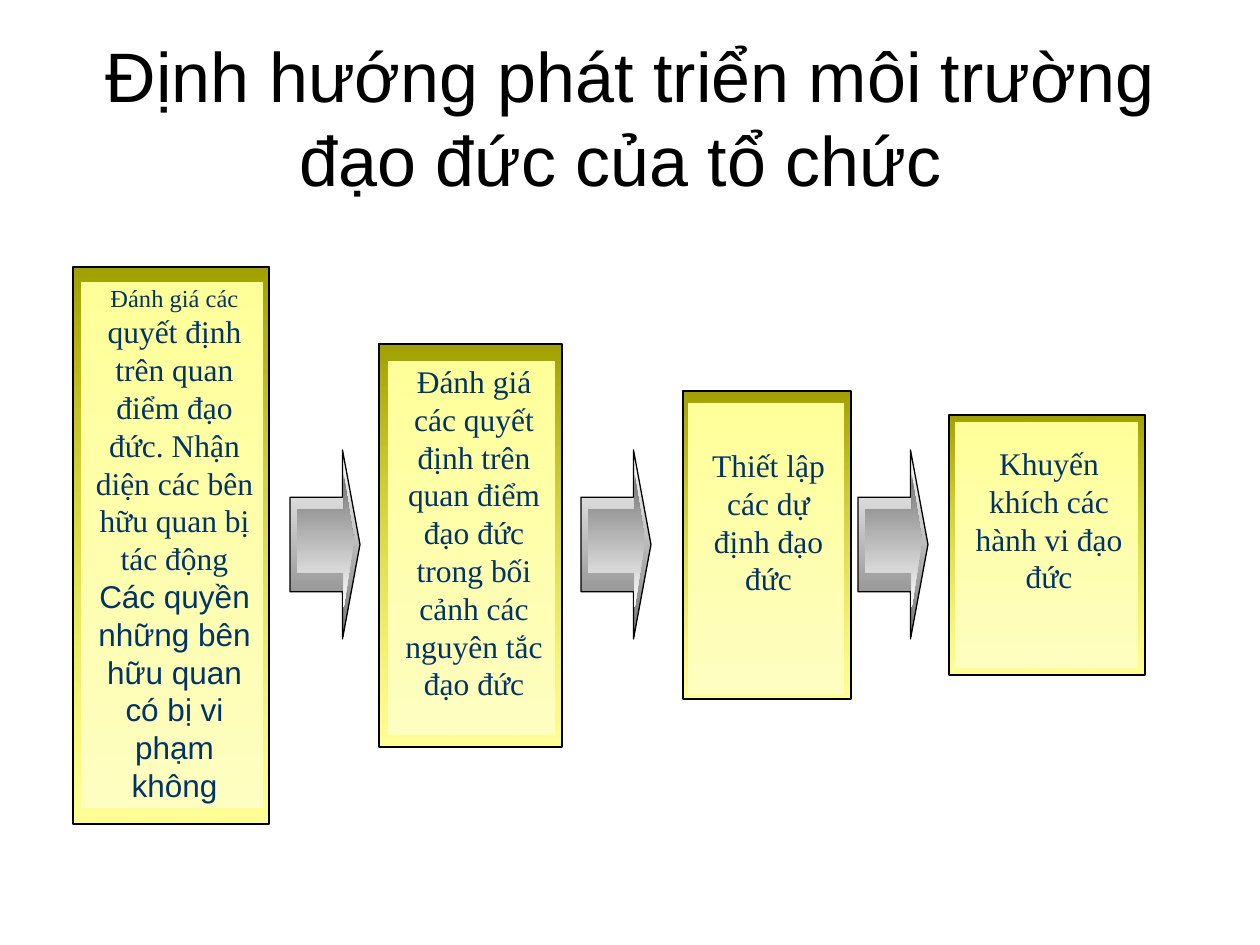
"""Build a slide of four process boxes joined by block arrows."""
from dataclasses import dataclass
from typing import Any

import lxml.etree
import pptx
import pptx.dml.color
import pptx.enum.shapes
import pptx.enum.text
import pptx.oxml.ns
import pptx.util

EMU_PER_PX = 914400 / 126
SERIF, SANS = "Times New Roman", "Arial"
SHAPES = pptx.enum.shapes.MSO_SHAPE
TEXT_COLOUR = "003366"


@dataclass(frozen=True)
class Box:
    left: int
    top: int
    width: int
    height: int


@dataclass(frozen=True)
class Run:
    text: str
    size: int = 18
    font: str = SERIF


@dataclass(frozen=True)
class Step:
    frame: Box
    panel: Box
    paragraphs: tuple[tuple[Run, ...], ...]
    top_inset: int = 1


STEPS = (
    Step(Box(683, 391, 168, 308), Box(688, 403, 156, 291),
         ((Run("Thiết lập các dự định đạo đức"),),), 43),
    Step(Box(949, 415, 196, 260), Box(955, 422, 183, 246),
         ((Run("Khuyến khích các hành vi đạo đức"),),), 22),
    Step(Box(379, 344, 183, 403), Box(388, 361, 167, 374),
         ((Run("Đánh giá các quyết định trên quan điểm đạo đức "
               "trong bối cảnh các nguyên tắc đạo đức"),),)),
    Step(Box(73, 267, 196, 557), Box(81, 282, 182, 526),
         ((Run("Đánh giá các ", 14),
           Run("quyết định trên quan điểm đạo đức. "
               "Nhận diện các bên hữu quan bị tác động")),
          (Run("Các quyền những bên hữu quan có bị vi phạm không", font=SANS),))),
)
ARROW_LEFTS = (290, 581, 858)


def px(length: int) -> int:
    """Turn pixels into EMU."""
    return round(length * EMU_PER_PX)


def colour(value: str) -> pptx.dml.color.RGBColor:
    """Turn a hex string into a colour."""
    return pptx.dml.color.RGBColor.from_string(value)


def apply(target: Any, values: dict[str, Any]) -> None:
    """Set attributes from a dict of format values."""
    for name, value in values.items():
        setattr(target, name, value)


def place(shape: Any, box: Box) -> None:
    """Move and size a shape."""
    apply(shape, {name: px(getattr(box, name)) for name in ("left", "top", "width", "height")})


def add_gradient_shape(slide: Any, kind: Any, box: Box, stops: tuple[str, str],
                       outlined: bool = False) -> Any:
    """Add a shape shaded from top to bottom."""
    shape = slide.shapes.add_shape(kind, 0, 0, 0, 0)
    place(shape, box)
    shape.shadow.inherit = False
    shape.fill.gradient()
    shape.fill.gradient_angle = 270
    for stop, value in zip(shape.fill.gradient_stops, stops):
        stop.color.rgb = colour(value)
    if outlined:
        shape.line.color.rgb = colour("000000")
        shape.line.width = pptx.util.Pt(0.75)
    else:
        shape.line.fill.background()
    return shape


def add_run(paragraph: Any, run: Run, text_colour: str) -> None:
    """Add a formatted run to a paragraph."""
    text_run = paragraph.add_run()
    text_run.text = run.text
    apply(text_run.font, {"size": pptx.util.Pt(run.size), "name": run.font})
    text_run.font.color.rgb = colour(text_colour)


def add_step(slide: Any, step: Step) -> None:
    """Add a framed panel with its text."""
    frame = add_gradient_shape(slide, SHAPES.RECTANGLE, step.frame, ("A1A100", "FFFF00"), True)
    last_stop = frame.element.xpath(".//a:gs/a:srgbClr")[-1]
    lxml.etree.SubElement(last_stop, pptx.oxml.ns.qn("a:alpha")).set("val", "41000")
    panel = add_gradient_shape(slide, SHAPES.RECTANGLE, step.panel, ("FFFF99", "FEFEC0"))
    text_frame = panel.text_frame
    apply(text_frame, {
        "word_wrap": True,
        "vertical_anchor": pptx.enum.text.MSO_ANCHOR.TOP,
        "margin_left": px(8),
        "margin_right": px(3),
        "margin_top": px(step.top_inset),
        "margin_bottom": px(1),
    })
    for index, runs in enumerate(step.paragraphs):
        paragraph = text_frame.add_paragraph() if index else text_frame.paragraphs[0]
        paragraph.alignment = pptx.enum.text.PP_ALIGN.CENTER
        for run in runs:
            add_run(paragraph, run, TEXT_COLOUR)


def add_arrow(slide: Any, left: int) -> None:
    """Add a bevelled block arrow."""
    outer = add_gradient_shape(slide, SHAPES.RIGHT_ARROW, Box(left, 450, 70, 189),
                               ("FFFFFF", "757575"), True)
    inner = add_gradient_shape(slide, SHAPES.RIGHT_ARROW, Box(left + 7, 475, 57, 132),
                               ("757575", "FFFFFF"))
    for shape, values in ((outer, (0.5, 0.25)), (inner, (0.48, 0.18))):
        for index, value in enumerate(values):
            shape.adjustments[index] = value


def add_title(slide: Any, run: Run) -> None:
    """Place and format the title."""
    title = slide.shapes.title
    place(title, Box(63, 38, 1134, 158))
    apply(title.text_frame, {
        "word_wrap": True,
        "auto_size": pptx.enum.text.MSO_AUTO_SIZE.NONE,
        "vertical_anchor": pptx.enum.text.MSO_ANCHOR.MIDDLE,
    })
    paragraph = title.text_frame.paragraphs[0]
    paragraph.alignment = pptx.enum.text.PP_ALIGN.CENTER
    add_run(paragraph, run, "000000")


def main() -> None:
    """Build and save the presentation."""
    presentation = pptx.Presentation()
    apply(presentation, {"slide_width": px(1260), "slide_height": px(945)})
    slide = presentation.slides.add_slide(presentation.slide_layouts[5])
    add_title(slide, Run("Định hướng phát triển môi trường đạo đức của tổ chức ", 40, SANS))
    for step in STEPS:
        add_step(slide, step)
    for left in ARROW_LEFTS:
        add_arrow(slide, left)
    presentation.save("out.pptx")


if __name__ == "__main__":
    main()
